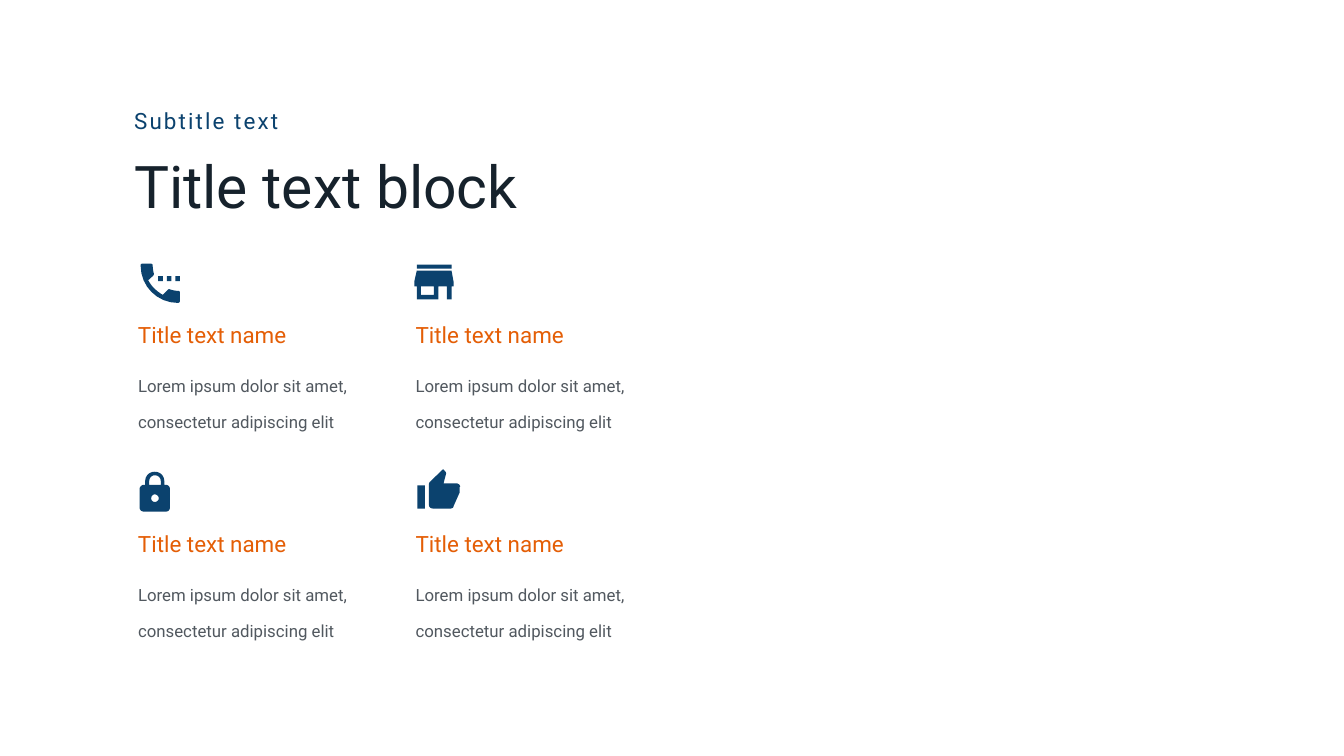
"""Build a slide with a title and a two-by-two grid of icon blocks."""
from pptx import Presentation
from pptx.dml.color import RGBColor
from pptx.enum.text import MSO_ANCHOR, MSO_AUTO_SIZE, PP_ALIGN
from pptx.util import Pt

PHONE = """M 44 25 L 35 25 35 35 44 35 M 61 25 L 52 25 52 35 61 35
M 78 25 L 69 25 69 35 78 35 M 74 54 C 69 54 64 53 58 51 57 50 55 51 54 52
L 44 62 C 32 55 22 46 15 33 L 25 24 C 26 22 27 20 26 19 25 15 24 9 24 4
24 1 22 0 20 0 L 5 0 C 1 0 0 1 0 4 0 45 33 78 74 78 76 78 78 76 78 74
L 78 58 C 78 55 76 54 74 54"""
SHOP = """M 74 0 L 5 0 5 8 74 8 M 78 43 L 78 34 74 12 5 12 0 34 0 43 5 43
5 69 48 69 48 43 65 43 65 69 74 69 74 43 M 39 60 L 13 60 13 43 39 43"""
LOCK = """M 52 26 L 49 26 49 19 C 49 8 41 0 30 0 19 0 11 8 11 19 L 11 26 8 26
C 4 26 0 30 0 34 L 0 71 C 0 76 4 79 8 79 L 52 79 C 57 79 60 76 60 71
L 60 34 C 60 30 57 26 52 26 M 30 60 C 26 60 23 57 23 53 23 48 26 45 30 45
34 45 38 48 38 53 38 57 34 60 30 60
M 42 26 L 19 26 19 19 C 19 12 24 7 30 7 37 7 42 12 42 19"""
THUMB = """M 0 78 L 15 78 15 32 0 32 M 85 35 C 85 31 81 28 77 28
L 52 28 57 9 57 8 C 57 7 56 5 55 4 L 51 0 25 25 C 23 27 23 29 23 32
L 23 70 C 23 75 26 78 31 78 L 66 78 C 69 78 72 76 72 73
L 84 46 C 84 45 84 44 84 43 L 84 35"""

NAVY, INK, ORANGE, GRAY = "0B426E", "16222C", "E45E06", "51585F"
UNIT = 0.72
STEPS = 8
SLIM = {"margin_left": Pt(3), "margin_right": Pt(3),
        "margin_top": Pt(3), "margin_bottom": Pt(3)}
GROW = {"auto_size": MSO_AUTO_SIZE.SHAPE_TO_FIT_TEXT}


def color(code):
    return RGBColor.from_string(code)


def assign(target, values):
    for name, value in values.items():
        setattr(target, name, value)


def curve(start, first, second, end):
    for step in range(1, STEPS + 1):
        t = step / STEPS
        s = 1 - t
        yield tuple(s**3 * a + 3 * s * s * t * b + 3 * s * t * t * c + t**3 * d
                    for a, b, c, d in zip(start, first, second, end))


def trace(outline):
    loops, mode, held = [], "", []
    words = iter(outline.split())
    for word in words:
        if word in "MLC":
            mode = word
            continue
        point = (float(word), float(next(words)))
        if mode == "M":
            loops.append([point])
        elif mode == "L":
            loops[-1].append(point)
        else:
            held.append(point)
            if len(held) == 3:
                loops[-1].extend(curve(loops[-1][-1], *held))
                held = []
    return [[(Pt(x * UNIT), Pt(y * UNIT)) for x, y in loop] for loop in loops]


class Deck:
    def __init__(self, font):
        self.font = font
        self.file = Presentation()
        assign(self.file, {"slide_width": Pt(1920), "slide_height": Pt(1080)})
        self.slide = self.file.slides.add_slide(self.file.slide_layouts[5])

    def label(self, shape, text, size, code, frame, lines=1.0, gap=0):
        body = shape.text_frame
        base = {"word_wrap": True, "auto_size": MSO_AUTO_SIZE.NONE,
                "vertical_anchor": MSO_ANCHOR.TOP}
        assign(body, {**base, **frame})
        para = body.paragraphs[0]
        assign(para, {"alignment": PP_ALIGN.LEFT, "line_spacing": lines})
        run = para.add_run()
        run.text = text
        assign(run.font, {"name": self.font, "size": Pt(size)})
        run.font.color.rgb = color(code)
        if gap:
            run._r.get_or_add_rPr().set("spc", str(gap * 100))

    def title(self, box, *style):
        shape = self.slide.shapes.title
        assign(shape, dict(zip(("left", "top", "width", "height"), map(Pt, box))))
        self.label(shape, *style)

    def text(self, box, *style, **more):
        shape = self.slide.shapes.add_textbox(*map(Pt, box))
        self.label(shape, *style, **more)

    def icon(self, left, top, outline):
        first, *rest = trace(outline)
        pen = self.slide.shapes.build_freeform(*first[0])
        pen.add_line_segments(first[1:])
        for loop in rest:
            pen.move_to(*loop[0])
            pen.add_line_segments(loop[1:])
        shape = pen.convert_to_shape(Pt(left), Pt(top))
        shape.shadow.inherit = False
        shape.fill.solid()
        shape.fill.fore_color.rgb = color(NAVY)
        shape.line.fill.background()


def main():
    deck = Deck("Roboto")
    deck.title((188.6, 211, 618, 124.6), "Title text block", 84, INK, SLIM)
    deck.text((188.6, 150.5, 440.6, 44.6), "Subtitle text", 32, NAVY,
              {**SLIM, **GROW, "vertical_anchor": MSO_ANCHOR.MIDDLE}, gap=3)
    icons = ((PHONE, 10.8, -79.2), (SHOP, 5.2, -77.8),
             (LOCK, 9.4, -80.4), (THUMB, 9.6, -84))
    for index, (outline, across, down) in enumerate(icons):
        row, col = divmod(index, 2)
        left, top = 190.1 + 396.5 * col, 455.8 + 298.5 * row
        deck.icon(left + across, top + down, outline)
        deck.text((left + 4, top, 363.6, 42.5), "Title text name", 32, ORANGE, SLIM)
        deck.text((left, top + 53.8, 329, 112.3),
                  "Lorem ipsum dolor sit amet, consectetur adipiscing elit",
                  24, GRAY, GROW, lines=1.8)
    deck.file.save("out.pptx")


if __name__ == "__main__":
    main()
